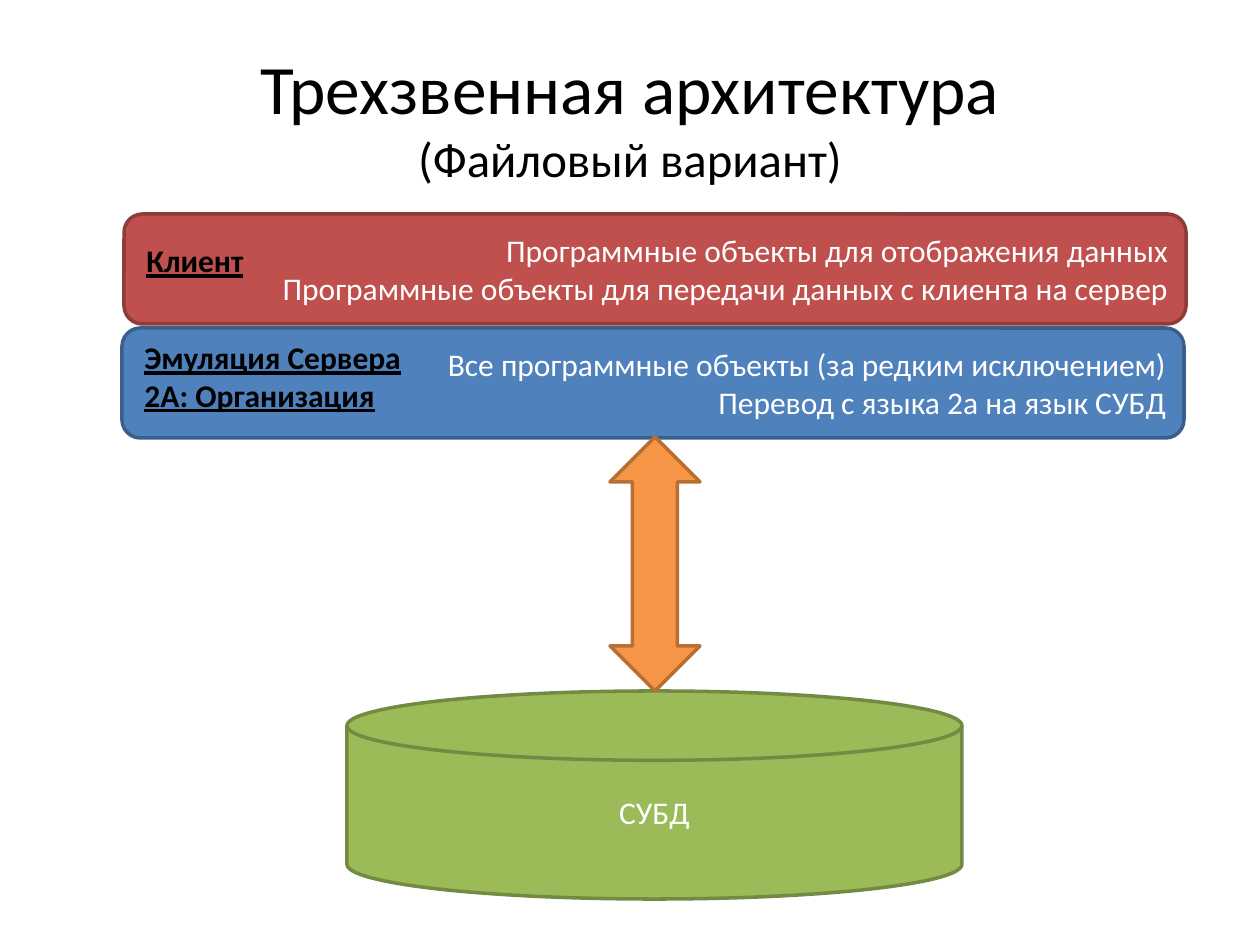
import pptx
import pptx.util
import pptx.dml.color
import pptx.enum.shapes
import pptx.enum.text

SHAPE = pptx.enum.shapes.MSO_SHAPE
ALIGN = pptx.enum.text.PP_ALIGN
ANCHOR = pptx.enum.text.MSO_ANCHOR
EMU_PER_PX = pptx.util.Inches(1) / 126


def px(length):
    return pptx.util.Emu(round(length * EMU_PER_PX))


def color(hex_string):
    return pptx.dml.color.RGBColor.from_string(hex_string)


class SlideBuilder:
    font = "Calibri"
    body_size = 18
    dark = "000000"
    light = "FFFFFF"
    line_width = 2

    def __init__(self, slide):
        self.slide = slide

    def run(self, paragraph, text, size, text_color, label=False):
        run = paragraph.add_run()
        run.text = text
        run.font.name = self.font
        run.font.size = pptx.util.Pt(size)
        run.font.color.rgb = color(text_color)
        if label:
            run.font.bold = run.font.underline = True

    def text_box(self, parent, box, anchor=ANCHOR.TOP):
        frame = parent.shapes.add_textbox(*map(px, box)).text_frame
        frame.word_wrap = True
        frame.vertical_anchor = anchor
        return frame

    def title(self, box, heading, subheading):
        paragraph = self.text_box(self.slide, box, ANCHOR.MIDDLE).paragraphs[0]
        paragraph.alignment = ALIGN.CENTER
        self.run(paragraph, heading, 39.6, self.dark)
        paragraph.add_line_break()
        self.run(paragraph, subheading, 27.9, self.dark)

    def block(self, parent, kind, box, fill, line, paragraphs=(), align=ALIGN.CENTER):
        """Filled shape; each paragraph is a list of lines."""
        shape = parent.shapes.add_shape(kind, *map(px, box))
        shape.shadow.inherit = False
        shape.fill.solid()
        shape.fill.fore_color.rgb = color(fill)
        shape.line.color.rgb = color(line)
        shape.line.width = pptx.util.Pt(self.line_width)
        frame = shape.text_frame
        frame.vertical_anchor = ANCHOR.MIDDLE
        for index, lines in enumerate(paragraphs):
            paragraph = frame.add_paragraph() if index else frame.paragraphs[0]
            paragraph.alignment = align
            for number, text in enumerate(lines):
                if number:
                    paragraph.add_line_break()
                self.run(paragraph, text, self.body_size, self.light)

    def tier(self, box, fill, line, paragraphs, label, label_box):
        """Rounded bar grouped with its underlined label."""
        group = self.slide.shapes.add_group_shape()
        self.block(group, SHAPE.ROUNDED_RECTANGLE, box, fill, line,
                   paragraphs, ALIGN.RIGHT)
        frame = self.text_box(group, label_box)
        self.run(frame.paragraphs[0], label, self.body_size, self.dark, label=True)


def main():
    deck = pptx.Presentation()
    deck.slide_width, deck.slide_height = px(1260), px(945)
    slide = deck.slides.add_slide(deck.slide_layouts[6])
    builder = SlideBuilder(slide)

    # Title
    builder.title((63, 38, 1134, 157), "Трехзвенная архитектура", "(Файловый вариант)")

    # Database
    builder.block(slide, SHAPE.FLOWCHART_MAGNETIC_DISK, (347, 691, 615, 208),
                  "9BBB59", "738A42", [["СУБД"]])

    # Client and server tiers
    builder.tier((124, 214, 1062, 110), "C0504D", "8E3B39",
                 [["Программные объекты для отображения данных",
                   "Программные объекты для передачи данных с клиента на сервер"]],
                 "Клиент", (134, 235, 139, 50))
    builder.tier((122, 328, 1062, 110), "4F81BD", "3A5F8C",
                 [["Все программные объекты (за редким исключением)"],
                  ["Перевод с языка 2а на язык СУБД"]],
                 "Эмуляция Сервера 2А: Организация", (132, 332, 318, 89))

    # Exchange between server and database
    builder.block(slide, SHAPE.UP_DOWN_ARROW, (610, 437, 90, 254), "F79646", "B76F34")

    deck.save("out.pptx")


if __name__ == "__main__":
    main()
